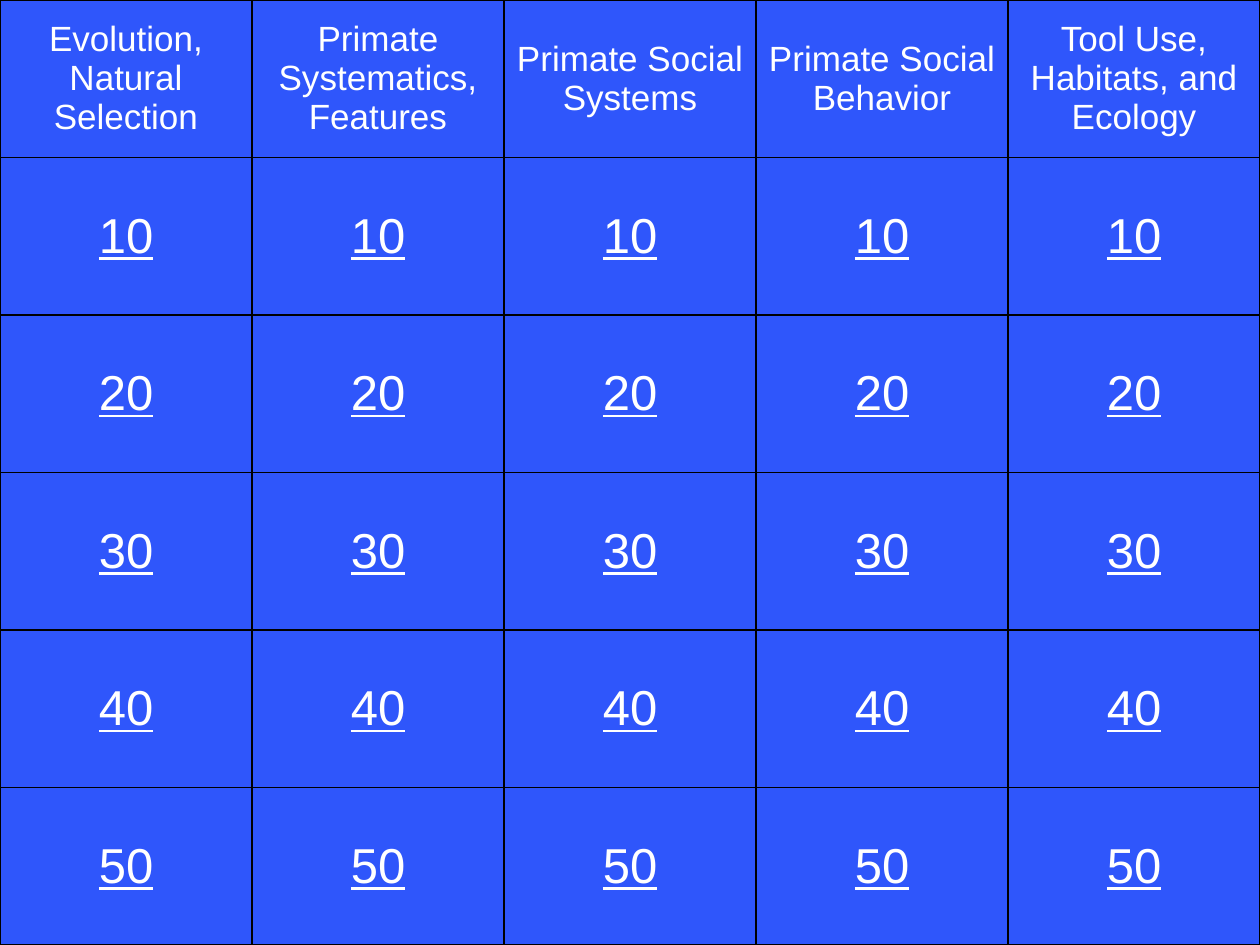
"""Builds a quiz board slide with five categories and five point levels."""
from lxml.etree import SubElement
from pptx import Presentation
from pptx.dml.color import RGBColor
from pptx.enum.text import MSO_ANCHOR, PP_ALIGN
from pptx.oxml.ns import qn
from pptx.util import Inches, Pt

COLORS = {"board": "2F56FB", "text": "FFFFFF", "grid": "000000"}
CATEGORIES = [
    "Evolution, Natural Selection",
    "Primate Systematics, Features",
    "Primate Social Systems",
    "Primate Social Behavior",
    "Tool Use, Habitats, and Ecology",
]
POINTS = [10, 20, 30, 40, 50]


class Board:
    font = "Arial"
    heading_size = Pt(20)
    points_size = Pt(28)
    border_width = Pt(1)

    def __init__(self, deck):
        self.page = deck.slides.add_slide(deck.slide_layouts[6])

    def background(self, color):
        fill = self.page.background.fill
        fill.solid()
        fill.fore_color.rgb = RGBColor.from_string(color)

    def borders(self, cell):
        properties = cell._tc.get_or_add_tcPr()
        for side in ("a:lnL", "a:lnR", "a:lnT", "a:lnB"):
            line = SubElement(properties, qn(side), w=str(self.border_width))
            fill = SubElement(line, qn("a:solidFill"))
            SubElement(fill, qn("a:srgbClr"), val=COLORS["grid"])

    def cell(self, cell, text, size, underline):
        self.borders(cell)
        cell.fill.background()
        cell.vertical_anchor = MSO_ANCHOR.MIDDLE
        para = cell.text_frame.paragraphs[0]
        para.alignment = PP_ALIGN.CENTER
        span = para.add_run()
        span.text = text
        span.font.name = self.font
        span.font.size = size
        span.font.underline = underline
        span.font.color.rgb = RGBColor.from_string(COLORS["text"])

    def table(self, rows, left, top, width, height):
        frame = self.page.shapes.add_table(len(rows), len(rows[0]), left, top, width, height)
        table = frame.table
        table.first_row = False
        table.horz_banding = False
        for row_index, row in enumerate(rows):
            heading = row_index == 0
            size = self.heading_size if heading else self.points_size
            for column_index, text in enumerate(row):
                self.cell(table.cell(row_index, column_index), text, size, not heading)


def main():
    deck = Presentation()
    deck.slide_width = Inches(10)
    deck.slide_height = Inches(7.5)
    board = Board(deck)
    board.background(COLORS["board"])
    rows = [CATEGORIES] + [[str(points)] * len(CATEGORIES) for points in POINTS]
    board.table(rows, Inches(0), Inches(0), Inches(10), Inches(7.5))
    deck.save("out.pptx")


if __name__ == "__main__":
    main()
